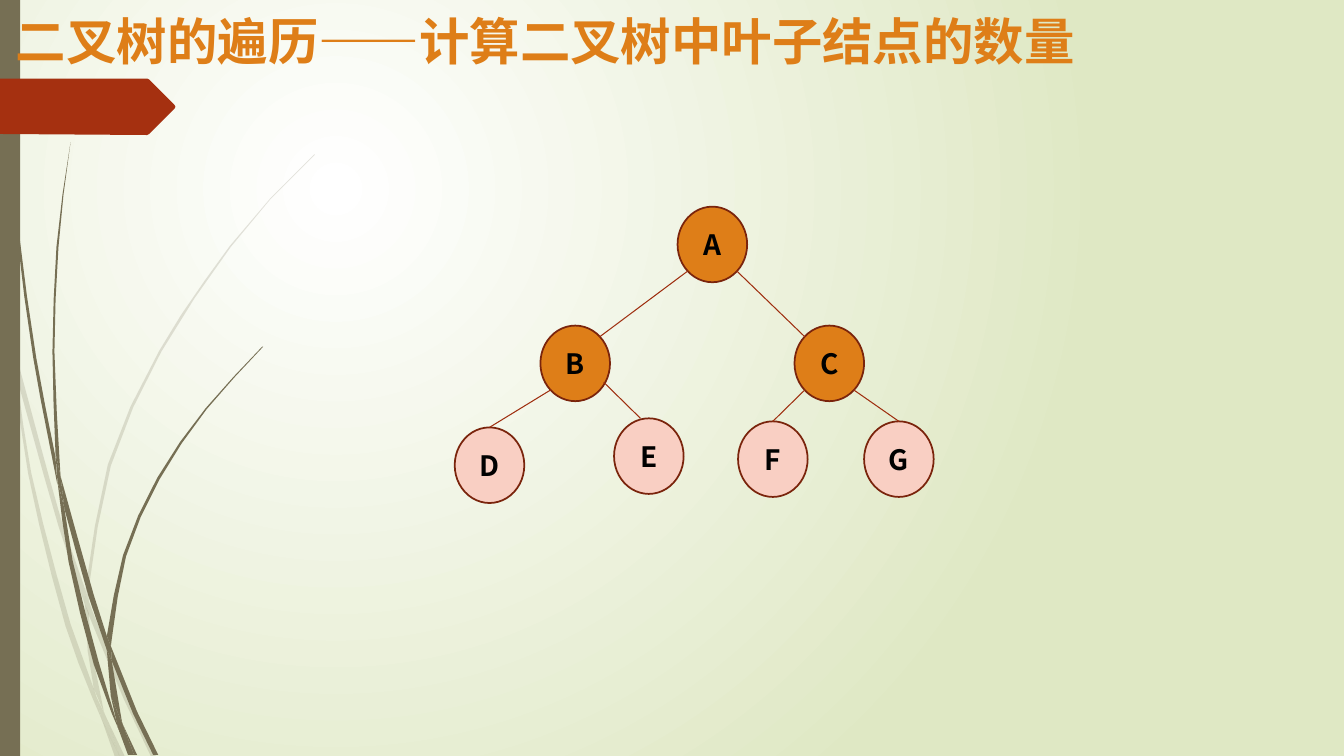
from collections import namedtuple
from dataclasses import dataclass

from lxml import etree
from pptx import Presentation
from pptx.dml.color import RGBColor
from pptx.enum.shapes import MSO_CONNECTOR, MSO_SHAPE
from pptx.enum.text import MSO_ANCHOR, PP_ALIGN
from pptx.oxml.ns import qn
from pptx.util import Pt

PX = 9144
OVAL, RECTANGLE = MSO_SHAPE.OVAL, MSO_SHAPE.RECTANGLE
STRAIGHT = MSO_CONNECTOR.STRAIGHT
TOP, MIDDLE = MSO_ANCHOR.TOP, MSO_ANCHOR.MIDDLE
LEFT, CENTER = PP_ALIGN.LEFT, PP_ALIGN.CENTER
CURVE_STEP = 50
Box = namedtuple("Box", "left top width height")


@dataclass(frozen=True)
class Theme:
    font: str = "Noto Sans CJK SC"
    title_size: int = 36
    node_size: int = 20
    glow: str = "FFFFFF"
    backdrop: str = "DFE8C4"
    grass: str = "766F54"
    tag: str = "A53010"
    accent: str = "DE7E18"
    leaf: str = "F9CFC3"
    outline: str = "7A240C"
    branch: str = "9E2E0F"
    ink: str = "000000"


THEME = Theme()

FAINT_BLADES = [
    ([(11, 350), (9, 322), (0, 282)], [(0, 299), (10, 344)]),
    ([(17, 376), (58, 522), (84, 599)], [(85, 586), (62, 520), (14, 345)]),
    ([(88, 610), (123, 694), (150, 751)], [(155, 751), (127, 692), (92, 607), (88, 596)]),
    ([(105, 711), (119, 751)], [(124, 751)]),
    ([(11, 350), (28, 470), (65, 621), (92, 693), (101, 714)],
     [(99, 707), (93, 683), (70, 619), (31, 469), (17, 376)]),
    ([(84, 599), (87, 646), (93, 683), (105, 711)], [(103, 706), (91, 646), (88, 608)]),
    ([(88, 596), (88, 584), (110, 462), (160, 349), (229, 245), (268, 198), (312, 154)],
     [(312, 153), (268, 197), (228, 244), (158, 348), (107, 461), (85, 584)]),
    ([(101, 714), (114, 751)], [(119, 751)]),
    ([(84, 599), (88, 610)], [(88, 596), (85, 586)]),
    ([(93, 683), (101, 714), (119, 751)], [(105, 711), (96, 692)]),
]
DARK_BLADES = [
    ([(3, 0), (7, 110), (17, 233), (33, 355), (57, 481)],
     [(55, 453), (36, 355), (19, 232), (8, 109), (4, 0)]),
    ([(64, 505), (88, 592), (106, 645)], [(106, 631), (93, 590), (60, 472)]),
    ([(111, 656), (132, 708), (152, 749)], [(157, 749), (136, 706), (110, 641)]),
    ([(57, 477), (68, 557), (93, 659), (111, 708), (117, 722)],
     [(116, 717), (98, 657), (72, 556), (64, 505)]),
    ([(60, 472), (54, 349), (58, 245), (63, 193), (70, 141)],
     [(70, 141), (62, 193), (56, 245), (52, 349), (55, 449)]),
    ([(122, 719), (133, 749)], [(136, 749)]),
    ([(55, 449), (57, 477), (64, 505)], [(60, 472)]),
    ([(110, 641), (111, 633), (125, 552), (158, 476), (205, 406), (261, 344)],
     [(260, 344), (204, 405), (156, 474), (122, 551), (106, 631)]),
    ([(117, 722), (127, 749)], [(131, 749)]),
    ([(106, 645), (110, 691), (122, 719)], [(121, 716), (111, 656)]),
    ([(106, 645), (111, 656)], [(110, 641), (106, 631)]),
    ([(110, 691), (117, 722), (130, 749)], [(133, 749), (122, 719)]),
]
TAG_OUTLINE = [(0, 0), (146, 0), (148, 1), (173, 26), (174, 28), (173, 30), (148, 55), (146, 56), (0, 55)]

NODE_WIDTH, NODE_HEIGHT = 69, 75
NODES = {"A": (221, 0), "B": (85, 118), "C": (337, 118), "D": (0, 219),
         "E": (158, 210), "F": (281, 213), "G": (406, 213)}
LOWER_LEFT, LOWER_RIGHT = (0.15, 0.85), (0.85, 0.85)
UPPER_LEFT, UPPER_RIGHT = (0.15, 0.15), (0.85, 0.15)
TOP_MIDDLE = (0.5, 0)
BRANCHES = [
    ("A", LOWER_LEFT, "B", UPPER_RIGHT),
    ("A", LOWER_RIGHT, "C", UPPER_LEFT),
    ("B", LOWER_LEFT, "D", TOP_MIDDLE),
    ("B", (0.91, 0.75), "E", (0.38, 0)),
    ("C", LOWER_LEFT, "F", TOP_MIDDLE),
    ("C", LOWER_RIGHT, "G", TOP_MIDDLE),
]


def apply(target, values):
    for name, value in values.items():
        setattr(target, name, value)


def paint(shape, color, line=None):
    shape.shadow.inherit = False
    shape.fill.solid()
    shape.fill.fore_color.rgb = RGBColor.from_string(color)
    if line:
        shape.line.color.rgb = RGBColor.from_string(line)
        shape.line.width = Pt(1.25)
    else:
        shape.line.fill.background()


def write(shape, text, size, color, align, anchor):
    apply(shape.text_frame, {"word_wrap": True, "vertical_anchor": anchor})
    paragraph = shape.text_frame.paragraphs[0]
    paragraph.alignment = align
    run = paragraph.add_run()
    run.text = text
    apply(run.font, {"size": Pt(size), "bold": True, "name": THEME.font})
    run.font.color.rgb = RGBColor.from_string(color)
    etree.SubElement(run.font._element, qn("a:ea"), typeface=THEME.font)


def smooth(anchors):
    points = [complex(*anchor) for anchor in anchors]
    spans = [after - before for before, after in zip(points[:1] + points, points[1:] + points[-1:])]
    curve = points[:1]
    for index, (start, end) in enumerate(zip(points, points[1:])):
        length = abs(end - start)
        first, second = (span / abs(span) * length / 3 for span in spans[index:index + 2])
        steps = max(1, round(length / CURVE_STEP))
        for step in range(1, steps + 1):
            t = step / steps
            u = 1 - t
            curve.append(u**3 * start + 3 * u * u * t * (start + first)
                         + 3 * u * t * t * (end - second) + t**3 * end)
    return [(point.real, point.imag) for point in curve]


def add_outline(shapes, box, points, color):
    corners = [((box.left + x) * PX, (box.top + y) * PX) for x, y in points]
    builder = shapes.build_freeform(*corners[0])
    builder.add_line_segments(corners[1:], close=True)
    shape = builder.convert_to_shape()
    paint(shape, color)
    return shape


def add_background(slide):
    fill = slide.background.fill
    fill.gradient()
    for stop, position, color in zip(fill.gradient_stops, (0, 1), (THEME.glow, THEME.backdrop)):
        stop.position = position
        stop.color.rgb = RGBColor.from_string(color)
    linear = slide.element.xpath(".//p:bg//a:lin")[0]
    radial = etree.Element(qn("a:path"), path="circle")
    etree.SubElement(radial, qn("a:fillToRect"), l="50000", t="50000", r="100000", b="100000")
    linear.getparent().replace(linear, radial)


def add_grass(slide, box, blades, opacity):
    shapes = slide.shapes.add_group_shape().shapes
    for outward, back in blades:
        blade = add_outline(shapes, box, smooth(outward) + smooth(back), THEME.grass)
        if opacity < 100:
            color = blade._element.spPr.find(qn("a:solidFill"))[0]
            etree.SubElement(color, qn("a:alpha"), val=str(opacity * 1000))


def add_side_bar(slide, box):
    bar = slide.shapes.add_shape(RECTANGLE, *(length * PX for length in box))
    paint(bar, THEME.grass)


def add_title(slide, box):
    title = slide.shapes.add_textbox(*(length * PX for length in box))
    write(title, "二叉树的遍历——计算二叉树中叶子结点的数量", THEME.title_size, THEME.accent, LEFT, TOP)


def add_tree(slide, box):
    shapes = slide.shapes.add_group_shape().shapes
    parents = {branch[0] for branch in BRANCHES}
    nodes = {}
    for name, (x, y) in NODES.items():
        node = shapes.add_shape(OVAL, (box.left + x) * PX, (box.top + y) * PX,
                                NODE_WIDTH * PX, NODE_HEIGHT * PX)
        paint(node, THEME.accent if name in parents else THEME.leaf, THEME.outline)
        write(node, name, THEME.node_size, THEME.ink, CENTER, MIDDLE)
        nodes[name] = node
    for parent, start, child, end in BRANCHES:
        ends = [int(length) for node, (x, y) in ((nodes[parent], start), (nodes[child], end))
                for length in (node.left + x * node.width, node.top + y * node.height)]
        branch = shapes.add_connector(STRAIGHT, *ends)
        if end == TOP_MIDDLE:
            branch.end_connect(nodes[child], 0)
        branch.line.color.rgb = RGBColor.from_string(THEME.branch)
        branch.line.width = Pt(0.75)
        etree.SubElement(branch._element.spPr, qn("a:effectLst"))


def main():
    presentation = Presentation()
    apply(presentation, {"slide_width": 1333 * PX, "slide_height": 750 * PX})
    slide = presentation.slides.add_slide(presentation.slide_layouts[6])
    add_background(slide)
    add_grass(slide, Box(0, 0, 312, 751), FAINT_BLADES, 20)
    add_grass(slide, Box(0, 0, 261, 749), DARK_BLADES, 100)
    add_side_bar(slide, Box(0, 0, 20, 750))
    add_outline(slide.shapes, Box(0, 78, 174, 56), TAG_OUTLINE, THEME.tag)
    add_title(slide, Box(6, 5, 1142, 84))
    add_tree(slide, Box(451, 205, 475, 294))
    presentation.save("out.pptx")


if __name__ == "__main__":
    main()
